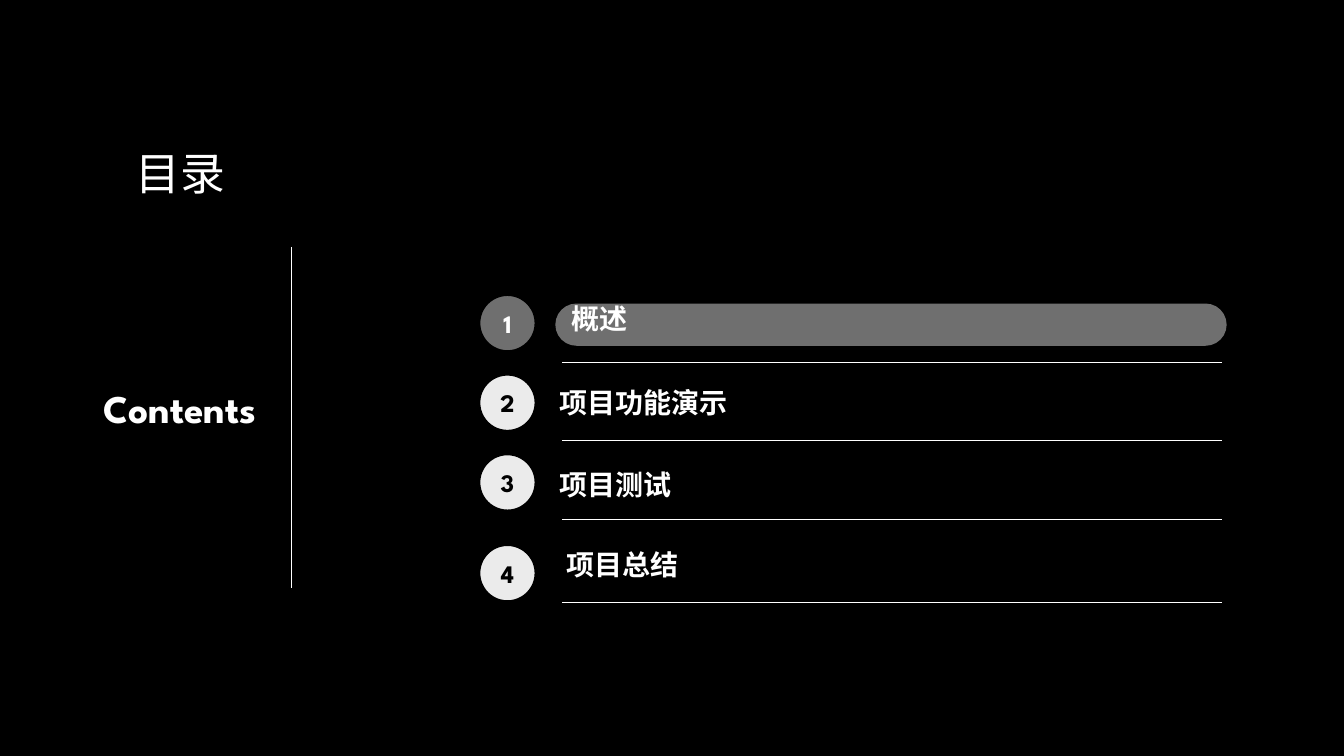
from lxml import etree
from pptx import Presentation
from pptx.dml.color import RGBColor
from pptx.enum.shapes import MSO_CONNECTOR, MSO_SHAPE
from pptx.enum.text import MSO_ANCHOR, PP_ALIGN
from pptx.oxml.ns import qn
from pptx.util import Pt

OVAL, RECT, PILL = MSO_SHAPE.OVAL, MSO_SHAPE.RECTANGLE, MSO_SHAPE.ROUNDED_RECTANGLE
TOP, MIDDLE, BOTTOM = MSO_ANCHOR.TOP, MSO_ANCHOR.MIDDLE, MSO_ANCHOR.BOTTOM
LEFT, CENTER, RIGHT = PP_ALIGN.LEFT, PP_ALIGN.CENTER, PP_ALIGN.RIGHT
FONT = "League Spartan"
COLORS = {"black": "000000", "white": "FFFFFF", "active": "6F6F6F", "idle": "EBEBEB"}
DOT, ITEM_W = 41, 479.5

# label, dot top, text left, text top, text height, anchor, line spacing, rule top
ITEMS = [
    ("概述", 0, 54.7, 6.5, 30.2, BOTTOM, 1.0, 48.2),
    ("项目功能演示", 56.9, 50.4, 62.6, 30.2, BOTTOM, 0.9, 104.4),
    ("项目测试", 113.8, 50.4, 118.8, 33.8, MIDDLE, 1.0, 160.6),
    ("项目总结", 178.6, 55.4, 175.7, 33.8, MIDDLE, 1.0, 219.6),
]


def rgb(name):
    """Return the named colour."""
    return RGBColor.from_string(COLORS[name])


def write(sp, text, size, color="white", bold=True, align=LEFT, anchor=MIDDLE, spacing=1.0):
    """Put one styled paragraph into a shape."""
    tf = sp.text_frame
    tf.word_wrap = True
    tf.vertical_anchor = anchor
    p = tf.paragraphs[0]
    p.text = text
    p.alignment = align
    p.line_spacing = spacing
    p.font.name = FONT
    p.font.size = Pt(size)
    p.font.bold = bold
    p.font.color.rgb = rgb(color)


def add_text(s, x, y, w, h, text, size, **style):
    """Add a text box."""
    sp = s.shapes.add_textbox(Pt(x), Pt(y), Pt(w), Pt(h))
    write(sp, text, size, **style)


def add_block(s, kind, x, y, w, h, fill, outline=None):
    """Add a filled shape, with an outline if one is named."""
    sp = s.shapes.add_shape(kind, Pt(x), Pt(y), Pt(w), Pt(h))
    sp.shadow.inherit = False
    sp.fill.solid()
    sp.fill.fore_color.rgb = rgb(fill)
    if outline:
        sp.line.color.rgb = rgb(outline)
        sp.line.width = Pt(2.25)
    else:
        sp.line.fill.background()
    return sp


def add_rule(s, x1, y1, x2, y2):
    """Add a thin white line."""
    line = s.shapes.add_connector(MSO_CONNECTOR.STRAIGHT, Pt(x1), Pt(y1), Pt(x2), Pt(y2))
    line.line.color.rgb = rgb("white")
    line.line.width = Pt(0.25)
    etree.SubElement(line._element.spPr, qn("a:effectLst"))


def add_heading(s, x, y, w, h):
    """Place the slide title."""
    add_text(s, x, y, w, h, "目录", 32, bold=False)


def add_side_label(s, x, y, w, h):
    """Place the side label and the vertical rule at the right edge of the box."""
    sp = add_block(s, RECT, x, y + 94.3, w - 18, DOT, "black")
    write(sp, "Contents", 28, align=RIGHT, anchor=TOP)
    add_rule(s, x + w, y, x + w, y + h)


def add_agenda(s, x, y, w):
    """Place the numbered items with their rules, the first one highlighted."""
    for number, item in enumerate(ITEMS, 1):
        label, dot_y, text_x, text_y, text_h, anchor, spacing, rule_y = item
        active = number == 1
        dot = add_block(s, OVAL, x, y + dot_y, DOT, DOT, "active" if active else "idle", "black")
        write(dot, str(number), 18, color="white" if active else "black", align=CENTER)
        add_rule(s, x + 59.8, y + rule_y, x + w, y + rule_y)
        box = (x + text_x, y + text_y, ITEM_W, text_h)
        if active:
            pill = add_block(s, PILL, *box, "active")
            pill.adjustments[0] = 0.5
            write(pill, label, 20, anchor=anchor)
        else:
            add_text(s, *box, label, 20, anchor=anchor, spacing=spacing)


def main():
    """Build and save the contents slide."""
    prs = Presentation()
    prs.slide_width, prs.slide_height = Pt(960), Pt(540)
    s = prs.slides.add_slide(prs.slide_layouts[6])
    s.background.fill.solid()
    s.background.fill.fore_color.rgb = rgb("black")
    add_heading(s, 90, 48.2, 780, 150)
    add_side_label(s, 52.5, 176.4, 155.6, 243.4)
    add_agenda(s, 342, 210.3, 530.6)
    prs.save("out.pptx")


if __name__ == "__main__":
    main()
